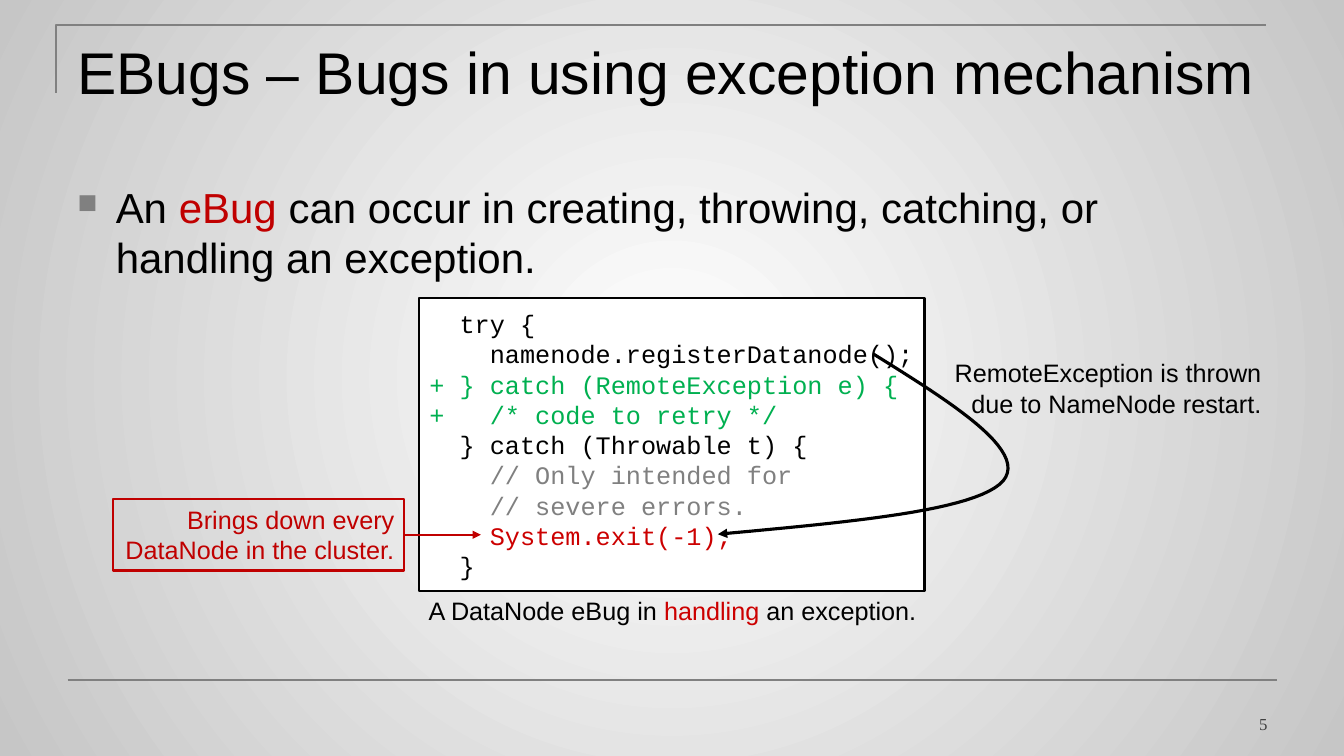
from lxml import etree
from pptx import Presentation
from pptx.dml.color import RGBColor
from pptx.enum.shapes import MSO_CONNECTOR as Connector, MSO_SHAPE as Preset
from pptx.enum.text import MSO_ANCHOR as Anchor, PP_ALIGN as Align
from pptx.oxml.ns import qn
from pptx.util import Inches, Pt

BLACK = RGBColor(0x00, 0x00, 0x00)
WHITE = RGBColor(0xFF, 0xFF, 0xFF)
EDGE_GRAY = RGBColor(0xC6, 0xC6, 0xC6)
GRAY = RGBColor(0x80, 0x80, 0x80)
DARK_GRAY = RGBColor(0x40, 0x40, 0x40)
RED = RGBColor(0xC0, 0x00, 0x00)
CODE_RED = RGBColor(0xCC, 0x00, 0x00)
GREEN = RGBColor(0x00, 0xB0, 0x50)

CODE_LINES = [
    [("  try {", BLACK)],
    [("    namenode.registerDatanode();", BLACK)],
    [("+ } catch (RemoteException e) {", GREEN)],
    [("+   /* code to retry */", GREEN)],
    [("  } catch (Throwable t) {", BLACK)],
    [("    // Only intended for", GRAY)],
    [("    // severe errors.", GRAY)],
    [("    System.exit(-1);", CODE_RED)],
    [("  }", BLACK)],
]


def write(shape, lines, size=18, font="Arial", align=Align.LEFT, anchor=Anchor.TOP, wrap=True):
    """Fill a shape with lines, each a list of (text, colour) spans."""
    frame = shape.text_frame
    frame.word_wrap = wrap
    frame.vertical_anchor = anchor
    for index, line in enumerate(lines):
        para = frame.paragraphs[0] if index == 0 else frame.add_paragraph()
        para.alignment = align
        for text, color in line:
            span = para.add_run()
            span.text = text
            span.font.size = Pt(size)
            span.font.name = font
            span.font.color.rgb = color
    return shape


def add_text(page, left, top, width, height, lines, **style):
    box = page.shapes.add_textbox(Inches(left), Inches(top), Inches(width), Inches(height))
    return write(box, lines, **style)


def add_box(page, left, top, width, height, color, fill=None):
    box = page.shapes.add_shape(
        Preset.RECTANGLE, Inches(left), Inches(top), Inches(width), Inches(height))
    box.shadow.inherit = False
    if fill is None:
        box.fill.background()
    else:
        box.fill.solid()
        box.fill.fore_color.rgb = fill
    box.line.color.rgb = color
    box.line.width = Pt(1.5)
    return box


def add_arrowhead(shape):
    line = shape.line._get_or_add_ln()
    etree.SubElement(line, qn("a:tailEnd"), type="triangle")


def add_line(page, start, end, color):
    line = page.shapes.add_connector(Connector.STRAIGHT, *map(Inches, start + end))
    line.line.color.rgb = color
    line.line.width = Pt(1.5)
    etree.SubElement(line._element.spPr, qn("a:effectLst"))
    return line


def add_path(page, points, color, width):
    """Draw an open, unfilled outline through points given in inches."""
    corners = [(Inches(x), Inches(y)) for x, y in points]
    builder = page.shapes.build_freeform(*corners[0])
    builder.add_line_segments(corners[1:], close=False)
    outline = builder.convert_to_shape()
    outline.shadow.inherit = False
    outline.fill.background()
    outline.line.color.rgb = color
    outline.line.width = Pt(width)
    return outline


def bezier(start, first, second, end, steps=24):
    """Points along a cubic curve, without its start."""
    points = []
    for step in range(1, steps + 1):
        t = step / steps
        u = 1 - t
        weights = (u ** 3, 3 * u * u * t, 3 * u * t * t, t ** 3)
        points.append(tuple(
            sum(w * c for w, c in zip(weights, axis))
            for axis in zip(start, first, second, end)))
    return points


def paint_background(page):
    """Radial gradient from a white centre to gray edges."""
    fill = page.background.fill
    fill.gradient()
    for stop, color in zip(fill.gradient_stops, (WHITE, EDGE_GRAY)):
        stop.color.rgb = color
    fill.gradient_stops[0].position = 0
    fill.gradient_stops[1].position = 1
    gradient = page._element.find(".//" + qn("a:gradFill"))
    linear = gradient.find(qn("a:lin"))
    circle = etree.Element(qn("a:path"), path="circle")
    etree.SubElement(circle, qn("a:fillToRect"), l="50000", t="50000", r="50000", b="50000")
    gradient.replace(linear, circle)


def add_page_frame(page, left, top, width):
    add_path(page, [(left, top + 0.67), (left, top), (left + width, top)], GRAY, 1.5)
    add_line(page, (left + 0.11, 6.75), (left + 0.11 + width, 6.75), GRAY)
    add_text(page, left + 9, 6.83, 3.11, 0.5, [[("5", DARK_GRAY)]], size=12,
             font="Times New Roman", align=Align.RIGHT, anchor=Anchor.BOTTOM)


def add_statement(page, left, top, width):
    """Title with one square-bulleted statement below it."""
    add_text(page, left, top, width, 1.25,
             [[("EBugs – Bugs in using exception mechanism", BLACK)]], size=42)
    body = add_text(page, left, top + 1.45, width, 1.34, [[
        ("An ", BLACK), ("eBug", RED),
        (" can occur in creating, throwing, catching, or handling an exception.", BLACK)]],
        size=30)
    para = body.text_frame.paragraphs[0]._p.get_or_add_pPr()
    para.set("marL", str(Inches(0.38)))
    para.set("indent", str(-Inches(0.38)))
    bullet_color = etree.SubElement(para, qn("a:buClr"))
    etree.SubElement(bullet_color, qn("a:srgbClr"), val=str(GRAY))
    etree.SubElement(para, qn("a:buSzPct"), val="65000")
    etree.SubElement(para, qn("a:buChar"), char="■")


def add_code_example(page, left, top, width, height):
    """Code listing with its caption and two annotations."""
    code = add_box(page, left, top, width, height, BLACK, WHITE)
    write(code, CODE_LINES, font="Courier New", anchor=Anchor.MIDDLE)
    add_text(page, left - 0.17, top + height, 5.36, 0.4, [[
        ("A DataNode eBug in ", BLACK), ("handling", CODE_RED), (" an exception.", BLACK)]],
        align=Align.CENTER)

    call, turn, exit_call = ((left + x, top + y) for x, y in
                             ((4.5, 0.55), (5.79, 1.81), (2.96, 2.34)))
    curve = [call]
    curve += bezier(call, (left + 5.27, top + 1.03), (left + 6.04, top + 1.51), turn)
    curve += bezier(turn, (left + 5.53, top + 2.11), (left + 4.25, top + 2.22), exit_call)
    add_arrowhead(add_path(page, curve, BLACK, 2.25))
    add_text(page, left + 5.19, top + 0.54, 3.26, 0.71,
             [[("RemoteException is thrown due to NameNode restart.", BLACK)]],
             align=Align.RIGHT)

    effect = add_box(page, left - 3.04, top + 1.99, 2.89, 0.71, RED)
    write(effect, [[("Brings down every", RED)], [("DataNode in the cluster.", RED)]],
          align=Align.RIGHT, wrap=False)
    middle = top + 1.99 + 0.71 / 2
    arrow = add_line(page, (left - 0.15, middle), (left + 0.61, middle), RED)
    arrow.begin_connect(effect, 3)
    add_arrowhead(arrow)


def main():
    deck = Presentation()
    deck.slide_width, deck.slide_height = Inches(13.33), Inches(7.5)
    page = deck.slides.add_slide(deck.slide_layouts[6])
    paint_background(page)
    add_page_frame(page, 0.56, 0.25, 12)
    add_statement(page, 0.67, 0.3, 12)
    add_code_example(page, 4.16, 2.96, 5.01, 2.9)
    deck.save("out.pptx")


if __name__ == "__main__":
    main()
